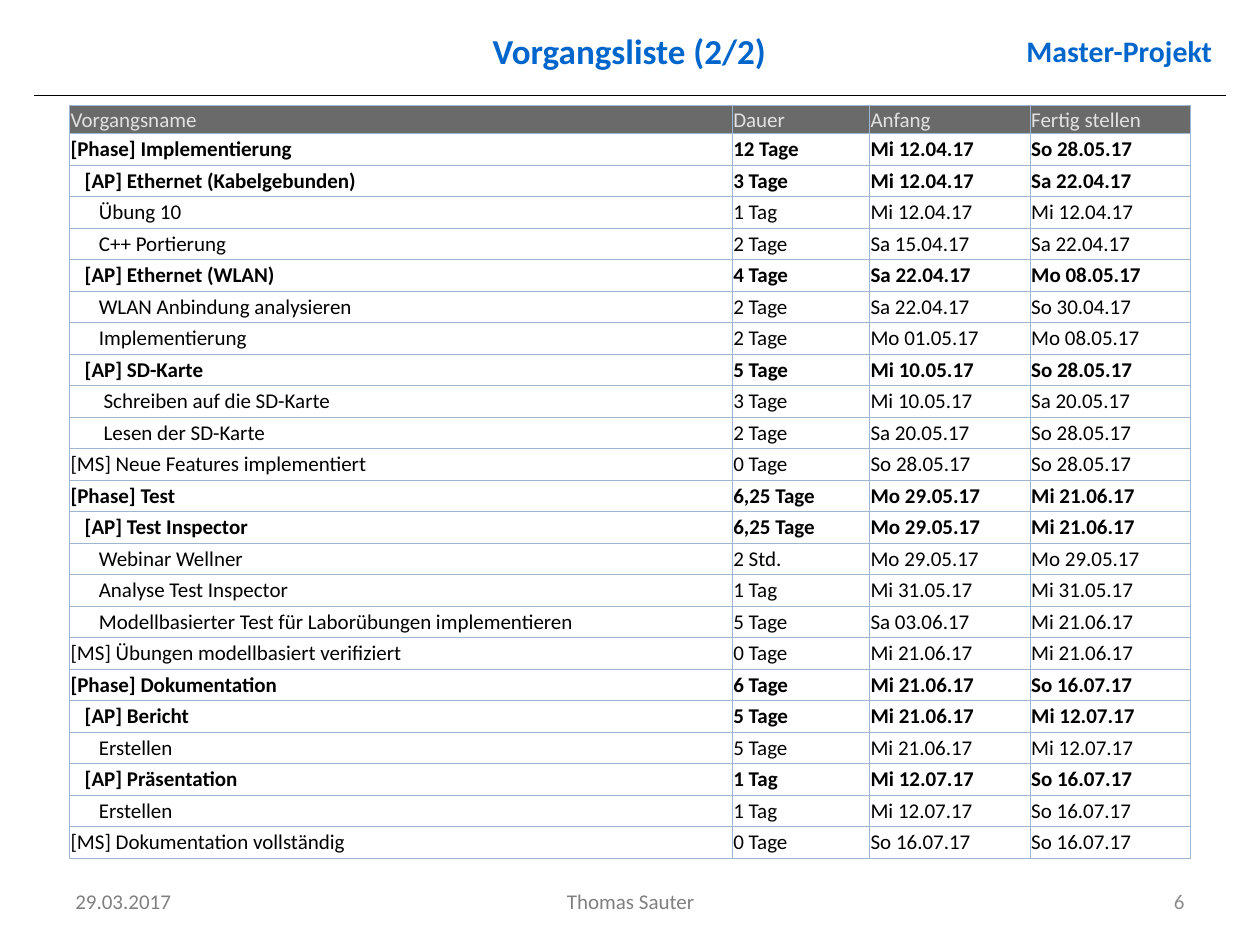
import pptx
import pptx.dml.color
import pptx.enum.shapes
import pptx.enum.text
import pptx.oxml
import pptx.util
from lxml import etree

COLORS = {
    "title": "0066CC", "footer": "808080", "number": "8C8C8C", "rule": "000000",
    "head_fill": "6A6A6A", "head_text": "E2E2E2",
    "row_fill": "FFFFFF", "row_text": "000000", "border": "9EB6CE",
}
A_NS = "http://schemas.openxmlformats.org/drawingml/2006/main"
ALIGN = pptx.enum.text.PP_ALIGN
MIDDLE = pptx.enum.text.MSO_ANCHOR.MIDDLE

prs = pptx.Presentation()
prs.slide_width = pptx.util.Inches(10)
prs.slide_height = pptx.util.Inches(7.5)


def percent(x, y, w, h):
    """Turn percentages of the slide's width and height into lengths."""
    px, py = prs.slide_width / 100, prs.slide_height / 100
    return [round(v) for v in (x * px, y * py, w * px, h * py)]


def write(tf, text, size=12, color="row_text", bold=False, align=ALIGN.LEFT):
    tf.word_wrap = True
    p = tf.paragraphs[0]
    p.alignment = align
    r = p.add_run()
    r.text = text
    r.font.name = "Calibri"
    r.font.size = pptx.util.Pt(size)
    r.font.bold = bold
    r.font.color.rgb = pptx.dml.color.RGBColor.from_string(COLORS[color])


# The Comparison layout has a title and an unbulleted body
s = prs.slides.add_slide(prs.slide_layouts[4])
for sp in list(s.placeholders):
    if sp.placeholder_format.idx > 1:
        sp.element.getparent().remove(sp.element)

# Header
headings = [
    (s.shapes.title, "Vorgangsliste (2/2)", 20, ALIGN.CENTER, (21.2, 2.67, 57.5, 5.33)),
    (s.placeholders[1], "Master-Projekt", 17, ALIGN.RIGHT, (79.9, 2.4, 17.3, 5.87)),
]
for sp, text, size, align, box in headings:
    sp.left, sp.top, sp.width, sp.height = percent(*box)
    sp.text_frame.auto_size = pptx.enum.text.MSO_AUTO_SIZE.NONE
    sp.text_frame.vertical_anchor = MIDDLE
    write(sp.text_frame, text, size=size, color="title", bold=True, align=align)

rule = s.shapes.add_connector(pptx.enum.shapes.MSO_CONNECTOR.STRAIGHT,
                              *percent(2.7, 10.13, 97.3, 10.13))
rule.line.color.rgb = pptx.dml.color.RGBColor.from_string(COLORS["rule"])
rule.line.width = pptx.util.Pt(0.75)
etree.SubElement(rule.element.spPr, f"{{{A_NS}}}effectLst")

# Footer
footers = [
    ("29.03.2017", 5, 23.3, "footer", ALIGN.LEFT),
    ("Thomas Sauter", 34.2, 31.7, "footer", ALIGN.CENTER),
    ("6", 71.7, 23.3, "number", ALIGN.RIGHT),
]
for text, left, width, color, align in footers:
    sp = s.shapes.add_textbox(*percent(left, 92.67, width, 5.33))
    sp.text_frame.vertical_anchor = MIDDLE
    write(sp.text_frame, text, color=color, align=align)

# Task list: indent in space widths, then the four columns
tasks = [
    (0, "Vorgangsname", "Dauer", "Anfang", "Fertig stellen"),
    (0, "[Phase] Implementierung", "12 Tage", "Mi 12.04.17", "So 28.05.17"),
    (3, "[AP] Ethernet (Kabelgebunden)", "3 Tage", "Mi 12.04.17", "Sa 22.04.17"),
    (6, "Übung 10", "1 Tag", "Mi 12.04.17", "Mi 12.04.17"),
    (6, "C++ Portierung", "2 Tage", "Sa 15.04.17", "Sa 22.04.17"),
    (3, "[AP] Ethernet (WLAN)", "4 Tage", "Sa 22.04.17", "Mo 08.05.17"),
    (6, "WLAN Anbindung analysieren", "2 Tage", "Sa 22.04.17", "So 30.04.17"),
    (6, "Implementierung", "2 Tage", "Mo 01.05.17", "Mo 08.05.17"),
    (3, "[AP] SD-Karte", "5 Tage", "Mi 10.05.17", "So 28.05.17"),
    (7, "Schreiben auf die SD-Karte", "3 Tage", "Mi 10.05.17", "Sa 20.05.17"),
    (7, "Lesen der SD-Karte", "2 Tage", "Sa 20.05.17", "So 28.05.17"),
    (0, "[MS] Neue Features implementiert", "0 Tage", "So 28.05.17", "So 28.05.17"),
    (0, "[Phase] Test", "6,25 Tage", "Mo 29.05.17", "Mi 21.06.17"),
    (3, "[AP] Test Inspector", "6,25 Tage", "Mo 29.05.17", "Mi 21.06.17"),
    (6, "Webinar Wellner", "2 Std.", "Mo 29.05.17", "Mo 29.05.17"),
    (6, "Analyse Test Inspector", "1 Tag", "Mi 31.05.17", "Mi 31.05.17"),
    (6, "Modellbasierter Test für Laborübungen implementieren", "5 Tage",
     "Sa 03.06.17", "Mi 21.06.17"),
    (0, "[MS] Übungen modellbasiert verifiziert", "0 Tage", "Mi 21.06.17", "Mi 21.06.17"),
    (0, "[Phase] Dokumentation", "6 Tage", "Mi 21.06.17", "So 16.07.17"),
    (3, "[AP] Bericht", "5 Tage", "Mi 21.06.17", "Mi 12.07.17"),
    (6, "Erstellen", "5 Tage", "Mi 21.06.17", "Mi 12.07.17"),
    (3, "[AP] Präsentation", "1 Tag", "Mi 12.07.17", "So 16.07.17"),
    (6, "Erstellen", "1 Tag", "Mi 12.07.17", "So 16.07.17"),
    (0, "[MS] Dokumentation vollständig", "0 Tage", "So 16.07.17", "So 16.07.17"),
]
table = s.shapes.add_table(len(tasks), 4, *percent(5.5, 11.2, 89, 79.6)).table
table.horz_banding = False
for col, share in zip(table.columns, (52.6, 10.9, 12.75, 12.75)):
    col.width = round(prs.slide_width * share / 100)

inset = pptx.util.Inches(0.01)
for i, (indent, *values) in enumerate(tasks):
    kind = "head" if i == 0 else "row"
    bold = values[0].startswith(("[Phase]", "[AP]"))
    table.rows[i].height = pptx.util.Inches(0.22 if i == 0 else 0.25)
    for j, value in enumerate(values):
        cell = table.cell(i, j)
        cell.margin_left = cell.margin_right = cell.margin_top = cell.margin_bottom = inset
        if j == 0:
            cell.margin_left = inset + pptx.util.Pt(2.7 * indent)
        cell.vertical_anchor = MIDDLE
        write(cell.text_frame, value, color=kind + "_text", bold=bold)
        tc_pr = cell._tc.get_or_add_tcPr()
        for side in ("lnL", "lnR", "lnT", "lnB"):
            tc_pr.append(pptx.oxml.parse_xml(
                f'<a:{side} xmlns:a="{A_NS}" w="6350"><a:solidFill>'
                f'<a:srgbClr val="{COLORS["border"]}"/></a:solidFill></a:{side}>'))
        cell.fill.solid()
        cell.fill.fore_color.rgb = pptx.dml.color.RGBColor.from_string(COLORS[kind + "_fill"])

prs.save("out.pptx")
